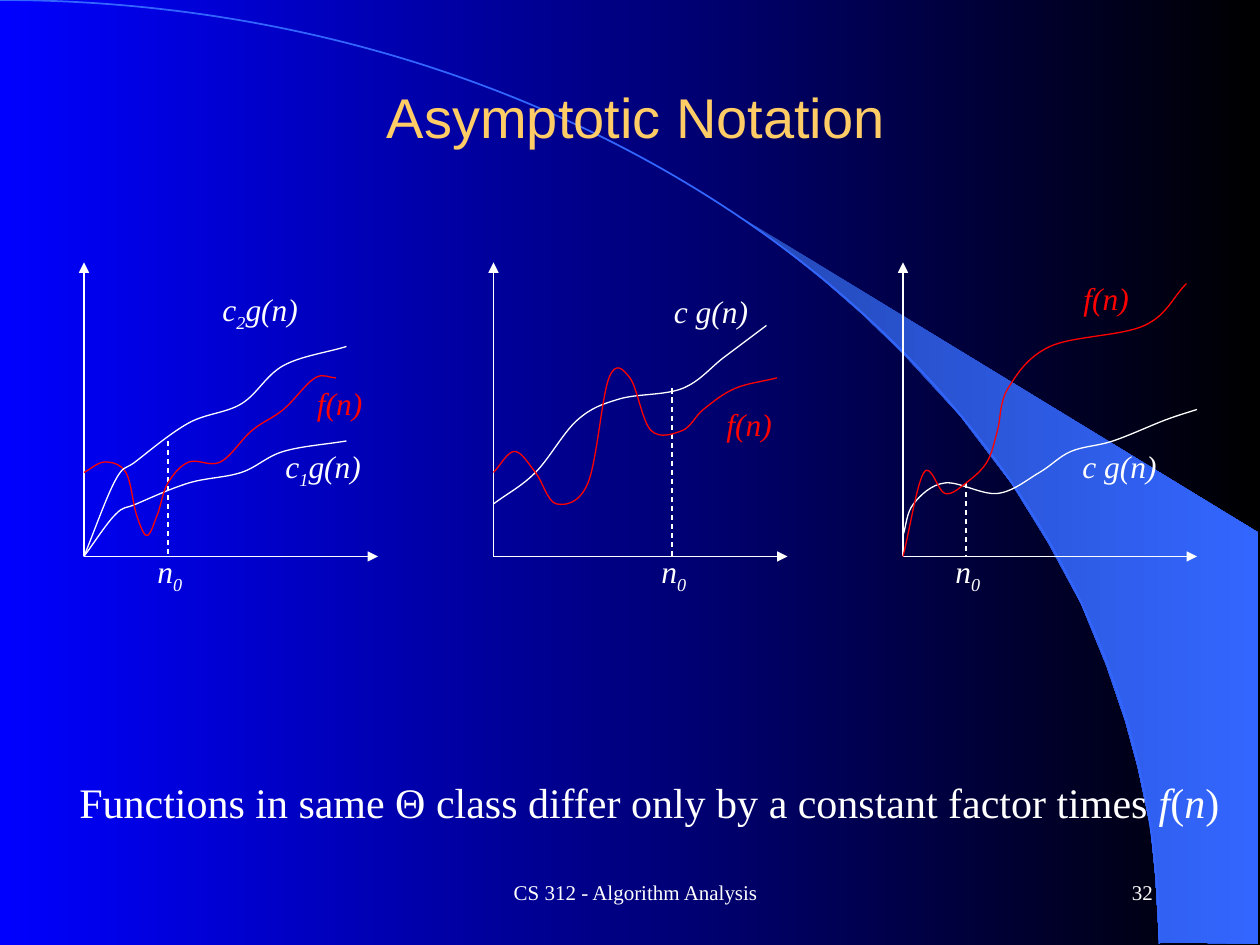
from math import ceil
from lxml.etree import SubElement
from pptx import Presentation
from pptx.dml.color import RGBColor
from pptx.enum.dml import MSO_LINE
from pptx.enum.shapes import MSO_CONNECTOR
from pptx.enum.text import MSO_ANCHOR, MSO_AUTO_SIZE, PP_ALIGN
from pptx.oxml.ns import qn
from pptx.util import Cm, Pt

color = RGBColor.from_string
white, red, blue = "FFFFFF", "FF0000", "3366FF"
inch = Cm(2.54)
unit = inch // 12

deck = Presentation()
deck.slide_width, deck.slide_height = Cm(25.4), Cm(19.05)
slide = deck.slides.add_slide(deck.slide_layouts[5])
shapes = slide.shapes


def trace(points, scale, bent=True):
    spots = [(round(x * scale), round(y * scale)) for x, y in points]
    pen = shapes.build_freeform(*spots[0], scale=1.0)
    pen.add_line_segments(spots[1:], close=not bent)
    shape = pen.convert_to_shape()
    shape.shadow.inherit = False
    shape.fill.background()
    if bent:
        route = next(shape._element.iter(qn("a:path")))
        steps = route.findall(qn("a:lnTo"))
        for i in range(0, len(steps), 3):
            bend = SubElement(route, qn("a:cubicBezTo"))
            for step in steps[i:i + 3]:
                bend.append(step[0])
                route.remove(step)
    return shape


def write(box, parts, size, tint=white, align=PP_ALIGN.LEFT):
    area = shapes.add_textbox(*box)
    frame = area.text_frame
    frame.word_wrap = False
    frame.auto_size = MSO_AUTO_SIZE.SHAPE_TO_FIT_TEXT
    para = frame.paragraphs[0]
    para.alignment = align
    for text, style in parts:
        run = para.add_run()
        run.text = text
        font = run.font
        font.name, font.size = "Times New Roman", Pt(size)
        font.color.rgb = color(tint)
        font.italic = style != "plain"
        if style == "sub":
            font._element.set("baseline", "-25000")
    return frame


back = slide.background.fill
back.gradient()
back.gradient_angle = 0
for stop, tint in zip(back.gradient_stops, ("0000FF", "000000")):
    stop.color.rgb = color(tint)

wedge = trace([
    (9.2, 7.48), (9.99, 7.49), (9.99, 4.23), (5.89, 1.73), (6.24, 1.99),
    (6.53, 2.22), (6.85, 2.5), (7.16, 2.8), (7.62, 3.3), (8.03, 3.84),
    (8.32, 4.31), (8.58, 4.79), (8.78, 5.28), (8.93, 5.72), (9.03, 6.09),
    (9.13, 6.56), (9.17, 6.96)], inch, False)
wedge.line.fill.background()
wedge.fill.gradient()
wedge.fill.gradient_angle = 0
for stop in wedge.fill.gradient_stops:
    stop.color.rgb = color(blue)
dark = next(wedge._element.iter(qn("a:srgbClr")))
SubElement(dark, qn("a:shade"), val="47059")

arc = trace([(0, 0), (5.08, 0), (9.2, 3.35), (9.2, 7.49)], inch)
arc.line.color.rgb = color(blue)
arc.line.width = Pt(1)

for box, text, align in (
        ((8.05, 17.35, 9.53, 1.27), "CS 312 - Algorithm Analysis", PP_ALIGN.CENTER),
        ((18.21, 17.35, 5.28, 1.27), "32", PP_ALIGN.RIGHT)):
    frame = write([Cm(n) for n in box], [(text, "plain")], 12, white, align)
    frame.word_wrap = True
    frame.auto_size = MSO_AUTO_SIZE.NONE
    frame.vertical_anchor = MSO_ANCHOR.MIDDLE

title = shapes.title
shapes._spTree.append(title._element)
title.left, title.top = Cm(1.27), Cm(0.76)
title.width, title.height = Cm(22.86), Cm(3.18)
frame = title.text_frame
frame.text = " Asymptotic Notation"
frame.auto_size = MSO_AUTO_SIZE.NONE
frame.vertical_anchor = MSO_ANCHOR.MIDDLE
frame.paragraphs[0].alignment = PP_ALIGN.CENTER
font = frame.paragraphs[0].runs[0].font
font.name, font.size = "Arial", Pt(32)
font.color.rgb = color("FFCC66")

low = [(0, 0), (3, 4), (5, 5), (10, 7), (15, 8), (19, 10), (25, 11)]
high = [(x, y * 20 / 11) for x, y in low]
func = [("f(n)", "")]
bound = [("c g(n)", "")]
plots = [
    (47, 17, 16,
     [([(0, 5), (4, 8), (8, 13), (12, 15), (18, 16), (22, 19), (26, 22)], white),
      ([(0, 8), (2, 10), (4, 8), (6, 5), (9, 7), (11, 17), (13, 17), (15, 12),
        (18, 12), (20, 14), (23, 16), (27, 17)], red)],
     [(21, 15, 8.1, func, red), (16, 25.8, 10.6, bound, white)]),
    (86, 6, 7,
     [([(0, 2), (1, 5), (4, 7), (9, 6), (13, 8), (16, 10), (20, 11), (25, 13),
        (28, 14)], white),
      ([(0, 0), (2, 8), (4, 6), (6, 7), (8, 9), (9, 12), (10, 16), (14, 20),
        (23, 22), (27, 26)], red)],
     [(16, 27, 8.1, func, red), (15.9, 11, 10.6, bound, white)]),
    (8, 8, 11,
     [(low, white),
      ([(0, 8), (2, 9), (4, 8), (5, 4), (6, 2), (7, 4), (8, 7), (10, 9),
        (13, 9), (16, 12), (19, 14), (22, 17), (24, 17)], red),
      (high, white)],
     [(18, 11, 10.9, [("c", ""), ("1", "sub"), ("g(n)", "")], white),
      (12, 26, 10.9, [("c", ""), ("2", "sub"), ("g(n)", "")], white),
      (21, 17, 8.1, func, red)]),
]
base = 53
for left, mark, rise, curves, notes in plots:
    for x, dx, dy in ((0, 0, 28), (0, 28, 0), (mark, 0, rise)):
        start = (left + x, base - dy) if x else (left, base)
        end = (left + x, base) if x else (left + dx, base - dy)
        line = shapes.add_connector(
            MSO_CONNECTOR.STRAIGHT, *[n * unit for n in start + end])
        line.line.color.rgb = color(white)
        line.line.width = Pt(0.75)
        if x:
            line.line.dash_style = MSO_LINE.DASH
        else:
            SubElement(line.line._get_or_add_ln(), qn("a:tailEnd"), type="triangle")
        SubElement(line._element.spPr, qn("a:effectLst"))

    for knots, tint in curves:
        spots = [(left + x, base - y) for x, y in knots]
        first = [2 * a - b for a, b in zip(spots[0], spots[1])]
        last = [2 * a - b for a, b in zip(spots[-1], spots[-2])]
        chain = [first, *spots, last]
        points = [spots[0]]
        for a, b, c, d in zip(chain, chain[1:], chain[2:], chain[3:]):
            points.append([q + (r - p) / 6 for p, q, r in zip(a, b, c)])
            points.append([r - (s - q) / 6 for q, r, s in zip(b, c, d)])
            points.append(c)
        curve = trace(points, unit)
        curve.line.color.rgb = color(tint)
        curve.line.width = Pt(0.75)

    notes = notes + [(mark - 2.2, 1, 5.8, [("n", ""), ("0", "sub")], white)]
    for x, y, width, parts, tint in notes:
        box = [ceil(n * unit) for n in (left + x, base - y, width, 4.8)]
        write(box, parts, 18, tint)

write([Cm(n) for n in (1.35, 15.52, 24.05, 1.27)], [
    ("Functions in same Θ class differ only by a constant factor times ", "plain"),
    ("f", ""), ("(", "plain"), ("n", ""), (")", "plain")], 24)

deck.save("out.pptx")
